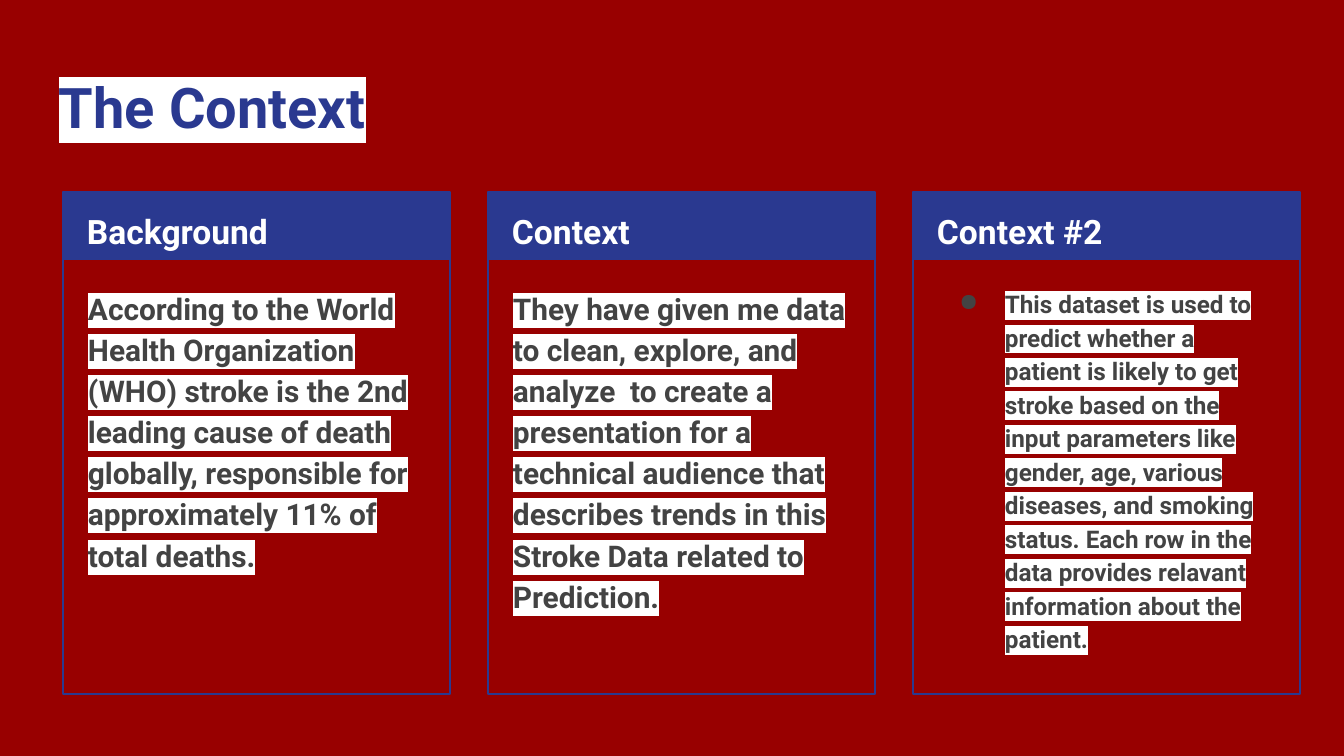
from lxml.etree import SubElement
from pptx import Presentation
from pptx.dml.color import RGBColor
from pptx.enum.shapes import MSO_SHAPE as Shape
from pptx.enum.text import MSO_ANCHOR as Anchor
from pptx.oxml.ns import qn
from pptx.util import Emu, Pt

EMU_PER_PX = 914400 / 134.4
COLORS = {"red": "980000", "blue": "2A3990", "white": "FFFFFF", "gray": "434343"}
FONT = "Roboto"

COLUMN_LEFT, COLUMN_STEP, COLUMN_WIDTH = 63, 425, 387
COLUMN_TOP, COLUMN_HEIGHT, HEADER_HEIGHT = 192, 502, 68

# Heading, body text, body size, bulleted
COLUMNS = [
    ("Background",
     "According to the World Health Organization (WHO) stroke is the 2nd leading "
     "cause of death globally, responsible for approximately 11% of total deaths.",
     16, False),
    ("Context",
     "They have given me data to clean, explore, and analyze  to create a "
     "presentation for a technical audience that describes trends in this "
     "Stroke Data related to Prediction.",
     16, False),
    ("Context #2",
     "This dataset is used to predict whether a patient is likely to get stroke "
     "based on the input parameters like gender, age, various diseases, and "
     "smoking status. Each row in the data provides relavant information about "
     "the patient.",
     13, True),
]


def px(length):
    return Emu(round(length * EMU_PER_PX))


def rgb(name):
    return RGBColor.from_string(COLORS[name])


class SlideBuilder:
    def __init__(self, page):
        self.page = page

    def background(self, color):
        fill = self.page.background.fill
        fill.solid()
        fill.fore_color.rgb = rgb(color)

    def rectangle(self, group, x, y, width, height, fill=None, line=None):
        box = group.shapes.add_shape(
            Shape.RECTANGLE, px(x), px(y), px(width), px(height))
        box.shadow.inherit = False
        if fill:
            box.fill.solid()
            box.fill.fore_color.rgb = rgb(fill)
        else:
            box.fill.background()
        if line:
            box.line.color.rgb = rgb(line)
            box.line.width = Pt(0.75)
        else:
            box.line.fill.background()

    def text(self, text, x, y, width, height, size, color,
             highlight=None, spacing=1.15, after=0, bullet=False):
        box = self.page.shapes.add_textbox(px(x), px(y), px(width), px(height))
        frame = box.text_frame
        frame.word_wrap = True
        frame.vertical_anchor = Anchor.TOP
        frame.margin_left = frame.margin_right = px(13)
        frame.margin_top = frame.margin_bottom = px(13)
        para = frame.paragraphs[0]
        para.line_spacing = spacing
        para.space_after = Pt(after)
        if bullet:
            self.bullet(para, color)
        font = para.font
        font.name, font.size, font.bold = FONT, Pt(size), True
        font.color.rgb = rgb(color)
        span = para.add_run()
        span.text = text
        if highlight:
            self.highlight(span, highlight)

    def bullet(self, para, color):
        props = para._p.get_or_add_pPr()
        props.set("marL", str(px(67)))
        props.set("indent", str(px(-46)))
        tint = SubElement(props, qn("a:buClr"))
        SubElement(tint, qn("a:srgbClr"), val=COLORS[color])
        SubElement(props, qn("a:buChar"), char="●")

    def highlight(self, span, color):
        marker = SubElement(span._r.get_or_add_rPr(), qn("a:highlight"))
        SubElement(marker, qn("a:srgbClr"), val=COLORS[color])

    def column(self, x, heading, body, size, bullet):
        group = self.page.shapes.add_group_shape()
        self.rectangle(group, x, COLUMN_TOP, COLUMN_WIDTH, HEADER_HEIGHT, fill="blue")
        self.rectangle(group, x, COLUMN_TOP, COLUMN_WIDTH, COLUMN_HEIGHT, line="blue")
        self.text(heading, x + 11, COLUMN_TOP, 367, HEADER_HEIGHT, 18, "white")
        self.text(body, x + 12, COLUMN_TOP + 80, 364, 411, size, "gray",
                  highlight="white", after=0 if bullet else 16, bullet=bullet)


def main():
    deck = Presentation()
    deck.slide_width, deck.slide_height = px(1344), px(756)
    page = deck.slides.add_slide(deck.slide_layouts[6])
    builder = SlideBuilder(page)
    builder.background("red")
    builder.text("The Context", 46, 60, 1252, 89, 30, "blue",
                 highlight="white", spacing=1)
    for index, column in enumerate(COLUMNS):
        builder.column(COLUMN_LEFT + index * COLUMN_STEP, *column)
    deck.save("out.pptx")


if __name__ == "__main__":
    main()
